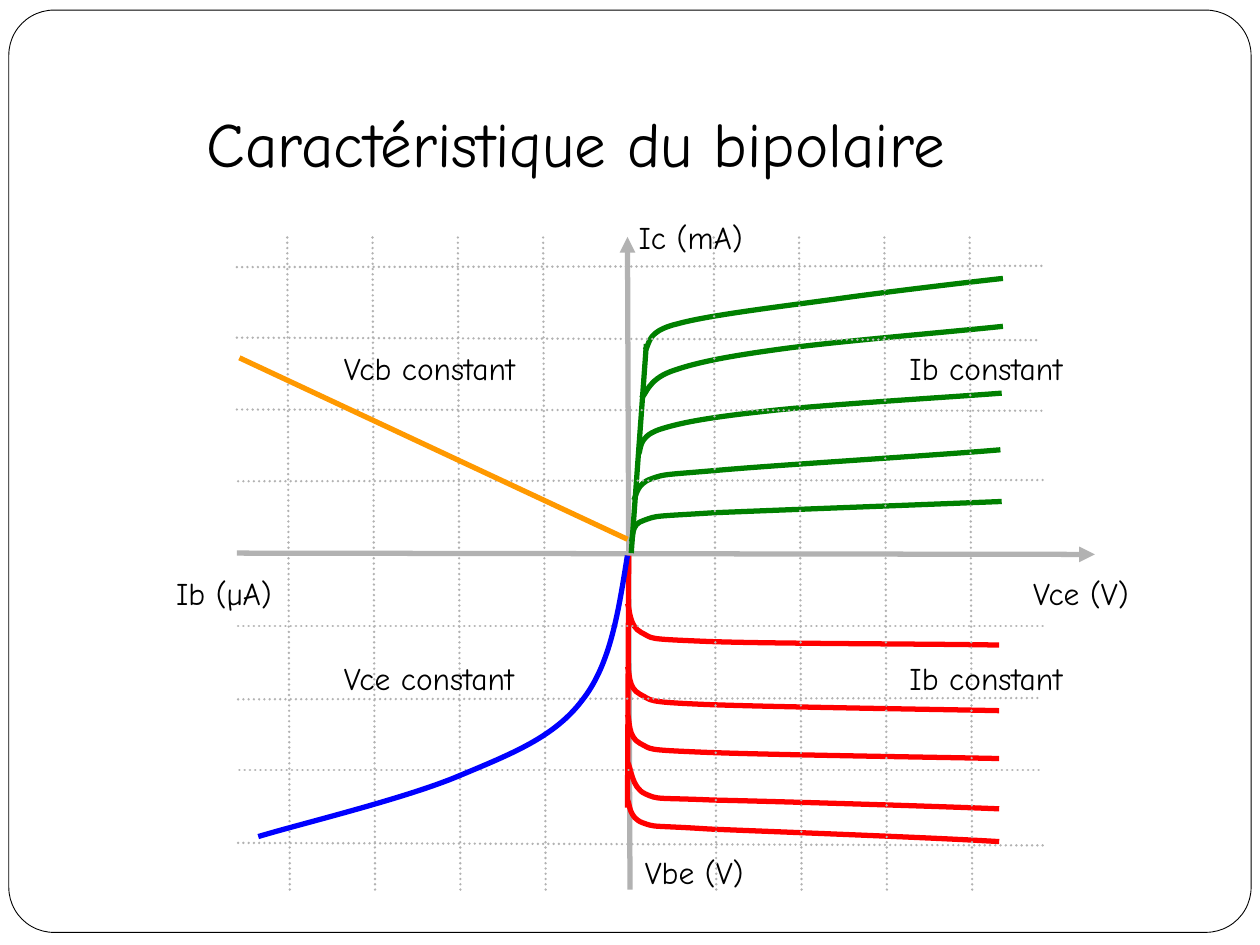
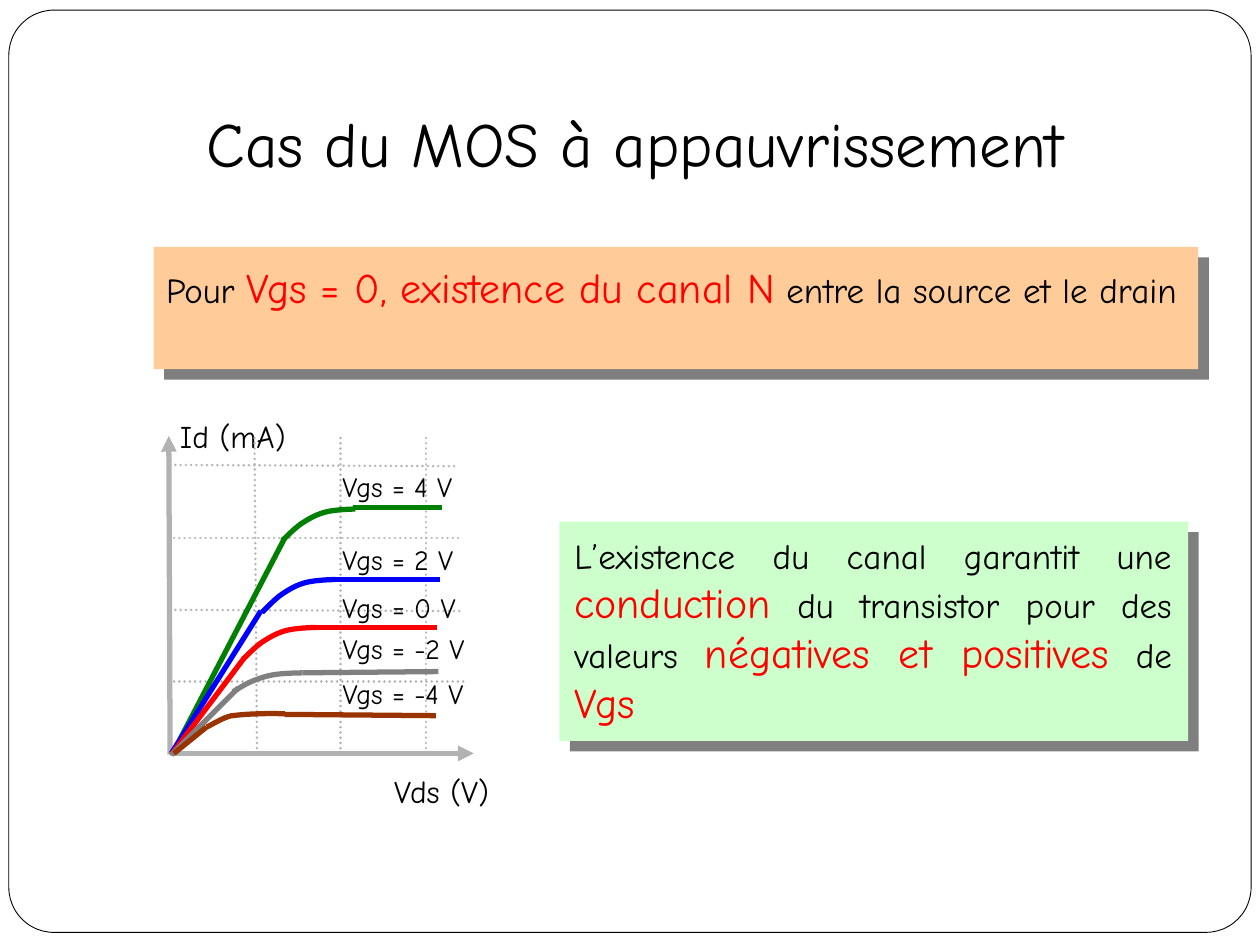
from lxml import etree
from pptx import Presentation
from pptx.dml.color import RGBColor
from pptx.enum.dml import MSO_LINE
from pptx.enum.shapes import MSO_CONNECTOR, MSO_SHAPE
from pptx.enum.text import MSO_AUTO_SIZE, PP_ALIGN
from pptx.oxml.ns import qn
from pptx.util import Inches, Pt

STRAIGHT = MSO_CONNECTOR.STRAIGHT
RECTANGLE, ROUNDED = MSO_SHAPE.RECTANGLE, MSO_SHAPE.ROUNDED_RECTANGLE
DOTTED = MSO_LINE.ROUND_DOT
FIT_SHAPE = MSO_AUTO_SIZE.SHAPE_TO_FIT_TEXT
LEFT, JUSTIFY = PP_ALIGN.LEFT, PP_ALIGN.JUSTIFY

BLACK = RGBColor(0x00, 0x00, 0x00)
WHITE = RGBColor(0xFF, 0xFF, 0xFF)
AXIS_GREY = RGBColor(0xB2, 0xB2, 0xB2)
GREY = RGBColor(0x80, 0x80, 0x80)
GREEN = RGBColor(0x00, 0x80, 0x00)
RED = RGBColor(0xFF, 0x00, 0x00)
BLUE = RGBColor(0x00, 0x00, 0xFF)
ORANGE = RGBColor(0xFF, 0x99, 0x00)
BROWN = RGBColor(0x99, 0x33, 0x00)
PEACH = RGBColor(0xFF, 0xCC, 0x99)
MINT = RGBColor(0xCC, 0xFF, 0xCC)

FONT = "Comic Neue"
TITLE_SIZE, KEY_SIZE, BODY_SIZE, LABEL_SIZE, SMALL_SIZE = 36, 24, 20, 18, 16
COLUMNS, ROWS = 100, 75

# Each curve: a start point, then two control points and an end per segment.
IC_CURVES = [
    [(51.2, 27.8), (51.6, 27.4), (51.2, 26.3), (53.8, 25.7), (56.3, 25),
     (62.3, 24.3), (66.6, 23.7), (70.9, 23.1), (76.9, 22.4), (79.6, 22.1)],
    [(50.1, 43), (50.3, 42.7), (50, 41.6), (51.1, 41.3), (52.2, 40.9),
     (51.8, 41), (56.6, 40.7), (61.3, 40.5), (74.7, 40), (79.5, 39.8)],
    [(50.9, 31.6), (51.3, 31.3), (51.4, 30.2), (53.2, 29.5), (55.1, 28.8),
     (57.6, 28.3), (62, 27.7), (66.4, 27.1), (75.9, 26.3), (79.6, 25.9)],
    [(50.7, 36), (50.9, 35.7), (50.6, 34.7), (52.3, 34.1), (54.1, 33.5),
     (56.5, 33.1), (61.1, 32.6), (65.6, 32.1), (75.7, 31.5), (79.5, 31.2)],
    [(50.3, 39.7), (50.5, 39.4), (50.5, 38.4), (51.7, 38), (52.8, 37.6),
     (52.7, 37.7), (57.3, 37.3), (61.9, 36.9), (74.8, 36.1), (79.4, 35.7)],
]
VBE_CURVES = [
    [(49.8, 47.9), (50, 48.3), (49.9, 49.7), (50.9, 50.2), (51.9, 50.7),
     (51.1, 50.7), (55.8, 50.9), (60.5, 51.1), (74.4, 51.1), (79.3, 51.2)],
    [(49.8, 63.5), (50, 63.8), (49.9, 64.9), (51, 65.3), (52.1, 65.7),
     (51.6, 65.5), (56.3, 65.8), (61, 66), (74.5, 66.5), (79.3, 66.8)],
    [(49.8, 56.7), (50, 57.1), (49.8, 58.5), (50.8, 59), (51.8, 59.5),
     (51.1, 59.5), (55.8, 59.7), (60.6, 59.9), (74.4, 60.1), (79.3, 60.2)],
    [(49.8, 52.9), (50, 53.3), (49.8, 54.6), (50.8, 55.1), (51.8, 55.6),
     (51.1, 55.7), (55.8, 55.9), (60.6, 56.1), (74.4, 56.3), (79.3, 56.4)],
    [(49.8, 60.5), (50.1, 60.9), (50.1, 62.5), (51.2, 63), (52.3, 63.5),
     (52, 63.3), (56.6, 63.5), (61.3, 63.6), (74.6, 64), (79.3, 64.2)],
]
VCE_CURVE = [(49.8, 44.1), (49.1, 48.4), (48.5, 52.7), (46.2, 55.6), (44, 58.5),
             (40.7, 59.8), (36.4, 61.6), (32.1, 63.4), (23.8, 65.4), (20.5, 66.4)]

# Horizontal grid lines: left end, its row, right end, its row.
BIPOLAR_ROWS = [(18.8, 21.2, 82.7, 21.1), (18.8, 26.8, 82.6, 27), (18.8, 32.5, 82.8, 32.6),
                (18.9, 38.2, 82.8, 38.1), (18.9, 49.7, 83, 49.7), (18.9, 55.5, 82.7, 55.4),
                (19, 61.1, 82.8, 61.1), (18.9, 66.9, 83, 67.1)]
MOS_ROWS = [(13.5, 36.9, 36.2, 37), (13.4, 42.7, 36.6, 42.7),
            (13.5, 48.4, 36.6, 48.5), (13.4, 54.1, 37.1, 54.1)]

# Bend from the ohmic slope to saturation, as shares of its width and height.
KNEE = [(0, 0), (0.05, 0.1), (0.17, 0.4), (0.27, 0.55), (0.37, 0.7),
        (0.48, 0.85), (0.62, 0.92), (0.74, 0.98), (0.93, 1), (1, 1)]
LOW_KNEE = [(0, 0), (0.05, 0.1), (0.19, 0.64), (0.31, 0.8), (0.44, 0.9),
            (0.6, 0.95), (0.71, 0.95), (0.82, 1), (0.95, 0.95), (1, 0.95)]

# colour, gate voltage, label row, origin, slope end, knee, its start and size, plateau ends
ID_CURVES = [
    (GREEN, "4", 36.8, (13.7, 59.8), (22.6, 42.7),
     KNEE, (22.4, 42.9), (5.8, 2.5), (28, 40.3), (35.1, 40.3)),
    (BLUE, "2", 42.6, (13.6, 59.8), (20.7, 48.5),
     KNEE, (20.8, 48.6), (5.8, 2.6), (26.4, 46), (34.9, 46)),
    (RED, "0", 46.4, (13.6, 59.9), (19.4, 52.2),
     KNEE, (19.3, 52.3), (5.8, 2.5), (25, 49.8), (34.7, 49.8)),
    (GREY, "-2", 49.6, (13.6, 59.9), (18.9, 54.6),
     KNEE, (18.5, 54.9), (5.5, 1.5), (24, 53.4), (34.8, 53.3)),
    (BROWN, "-4", 53.2, (13.8, 59.8), (16.4, 57.7),
     LOW_KNEE, (16.4, 57.7), (6.2, 1.1), (22.6, 56.7), (34.6, 56.8)),
]


class Deck:
    def __init__(self):
        self.prs = Presentation()
        self.prs.slide_width, self.prs.slide_height = Inches(10), Inches(7.5)
        self.shapes = None

    def place(self, *lengths):
        """Turn alternating columns and rows into slide lengths."""
        cells = (self.prs.slide_width / COLUMNS, self.prs.slide_height / ROWS)
        return [round(length * cells[i % 2]) for i, length in enumerate(lengths)]

    def new_slide(self, title, title_width):
        self.shapes = self.prs.slides.add_slide(self.prs.slide_layouts[6]).shapes
        frame = self.box(ROUNDED, (0.7, 0.8, 98.6, 73.2), WHITE)
        frame.adjustments[0] = 0.049
        frame.line.color.rgb = BLACK
        frame.line.width = Pt(0.5)
        self.label(title, 15.4, 7.8, title_width, TITLE_SIZE, height=7)

    def box(self, kind, area, fill):
        shape = self.shapes.add_shape(kind, *self.place(*area))
        shape.shadow.inherit = False
        shape.fill.solid()
        shape.fill.fore_color.rgb = fill
        shape.line.fill.background()
        return shape

    def text(self, runs, area, align=LEFT, wrap=False):
        """Write (text, size, colour) runs as one paragraph."""
        frame = self.shapes.add_textbox(*self.place(*area)).text_frame
        frame.word_wrap = wrap
        frame.auto_size = FIT_SHAPE
        paragraph = frame.paragraphs[0]
        paragraph.alignment = align
        for words, size, colour in runs:
            run = paragraph.add_run()
            run.text = words
            run.font.name = FONT
            run.font.size = Pt(size)
            run.font.color.rgb = colour

    def label(self, words, col, row, width, size=LABEL_SIZE, height=4, align=LEFT, wrap=False):
        self.text([(words, size, BLACK)], (col, row, width, height), align, wrap)

    def panel(self, area, fill, text_area, parts):
        """Draw a shadowed box; every second part of its text is highlighted."""
        shape = self.box(RECTANGLE, area, fill)
        effects = shape._element.spPr.find(qn("a:effectLst"))
        shadow = etree.SubElement(effects, qn("a:outerShdw"), blurRad="0",
                                  dist=str(Pt(8.5)), dir=str(45 * 60000), algn="ctr",
                                  rotWithShape="0")
        colour = etree.SubElement(shadow, qn("a:srgbClr"), val=str(BLACK))
        etree.SubElement(colour, qn("a:alpha"), val="50000")
        styles = ((BODY_SIZE, BLACK), (KEY_SIZE, RED))
        runs = [(part, *styles[i % 2]) for i, part in enumerate(parts)]
        self.text(runs, text_area, JUSTIFY, wrap=True)

    def line(self, start, end, colour, width=3):
        connector = self.shapes.add_connector(STRAIGHT, *self.place(*start, *end))
        connector.line.color.rgb = colour
        connector.line.width = Pt(width)
        etree.SubElement(connector._element.spPr, qn("a:effectLst"))
        return connector.line

    def axis(self, start, end):
        outline = self.line(start, end, AXIS_GREY)._get_or_add_ln()
        etree.SubElement(outline, qn("a:tailEnd"), type="triangle")

    def grid_line(self, start, end):
        line = self.line(start, end, AXIS_GREY, 1.5)
        line.dash_style = DOTTED
        line._get_or_add_ln().set("cap", "rnd")

    def curve(self, controls, colour):
        """Draw a chain of cubic segments through the control points."""
        start, *others = [self.place(*point) for point in controls]
        builder = self.shapes.build_freeform(*start)
        builder.add_line_segments(others, close=False)
        shape = builder.convert_to_shape()
        steps = list(shape._element.iter(qn("a:lnTo")))
        for i in range(0, len(steps), 3):
            segment = etree.SubElement(steps[i].getparent(), qn("a:cubicBezTo"))
            for step in steps[i:i + 3]:
                segment.append(step[0])
                step.getparent().remove(step)
        shape.shadow.inherit = False
        shape.fill.background()
        shape.line.color.rgb = colour
        shape.line.width = Pt(3)


def bipolar_slide(deck):
    deck.new_slide("Caractéristique du bipolaire", 66.8)
    deck.axis((50, 70.6), (49.8, 18.8))
    deck.axis((18.8, 43.9), (86.9, 44))
    deck.line((50.1, 43.9), (51.3, 27.3), GREEN)
    deck.label("Vce (V)", 81, 45.1, 10.5)
    deck.label("Ic (mA)", 49.7, 16.8, 11.5, wrap=True)
    deck.label("Vbe (V)", 50.2, 67.2, 10.7)
    deck.label("Ib (µA)", 13, 45.1, 10.6)

    for curves, colour in ((IC_CURVES, GREEN), (VBE_CURVES, RED)):
        for controls in curves:
            deck.curve(controls, colour)
    deck.line((49.9, 44.1), (49.8, 64.1), RED)

    for left, left_row, right, right_row in BIPOLAR_ROWS:
        deck.grid_line((left, left_row), (right, right_row))
    for i in range(9):
        if i != 4:  # the axis takes the middle of the grid
            col = 22.8 + 6.77 * i
            deck.grid_line((col + 0.2, 70.6), (col, 18.8))

    deck.line((49.8, 42.8), (19, 28.4), ORANGE)
    deck.curve(VCE_CURVE, BLUE)
    for row, left_label in ((27.2, "Vcb constant"), (51.8, "Vce constant")):
        deck.label(left_label, 26.3, row, 17.2)
        deck.label("Ib constant", 71.2, row, 15.7)


def mos_slide(deck):
    deck.new_slide("Cas du MOS à appauvrissement", 74.5)
    deck.panel((12.2, 19.6, 82.9, 9.7), PEACH, (12.2, 20.3, 82.2, 8.3),
               ["Pour ", "Vgs = 0, existence du canal N", " entre la source et le drain"])
    deck.label("Vds (V)", 30.3, 60.8, 10.6)
    deck.label("Id (mA)", 13.3, 32.6, 11.5, wrap=True)

    for left, left_row, right, right_row in MOS_ROWS:
        deck.grid_line((left, left_row), (right, right_row))
    for bottom, top in ((20.4, 20.2), (27, 27), (33.8, 33.8)):
        deck.grid_line((bottom, 59.8), (top, 34.6))
    deck.panel((44.4, 41.4, 49.9, 17.4), MINT, (44.6, 41.9, 49.4, 16.3),
               ["L’existence du canal garantit une ", "conduction",
                " du transistor pour des valeurs ", "négatives et positives", " de ", "Vgs"])
    deck.axis((13.5, 59.9), (13.4, 34.6))
    deck.axis((13.5, 59.8), (37.6, 59.8))

    for (colour, volts, label_row, origin, slope_end,
         knee, bend, size, plateau_start, plateau_end) in ID_CURVES:
        deck.line(origin, slope_end, colour)
        deck.curve([(bend[0] + x * size[0], bend[1] - y * size[1]) for x, y in knee], colour)
        deck.line(plateau_start, plateau_end, colour)
        deck.label(f"Vgs = {volts} V", 26.2, label_row, 10.7 + 0.9 * len(volts),
                   SMALL_SIZE, 3.7, JUSTIFY)


def main():
    deck = Deck()
    bipolar_slide(deck)
    mos_slide(deck)
    deck.prs.save("out.pptx")


if __name__ == "__main__":
    main()
